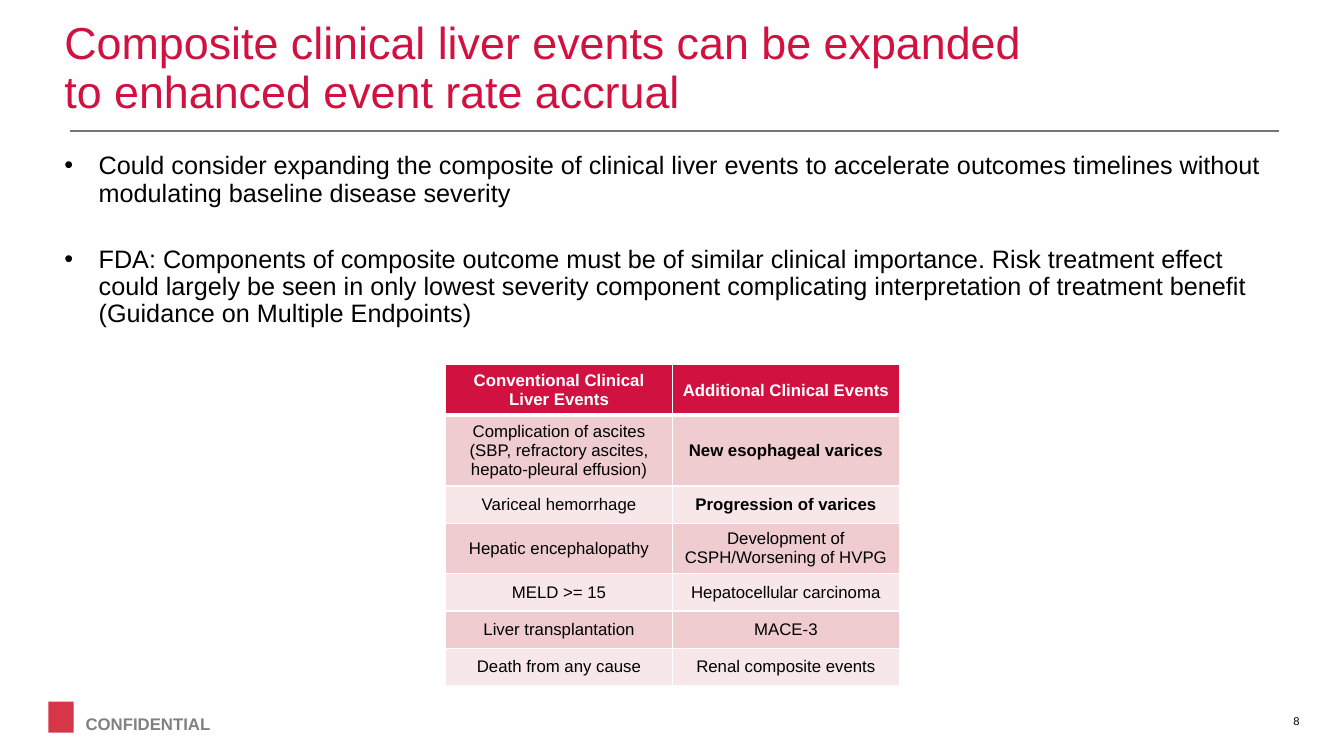
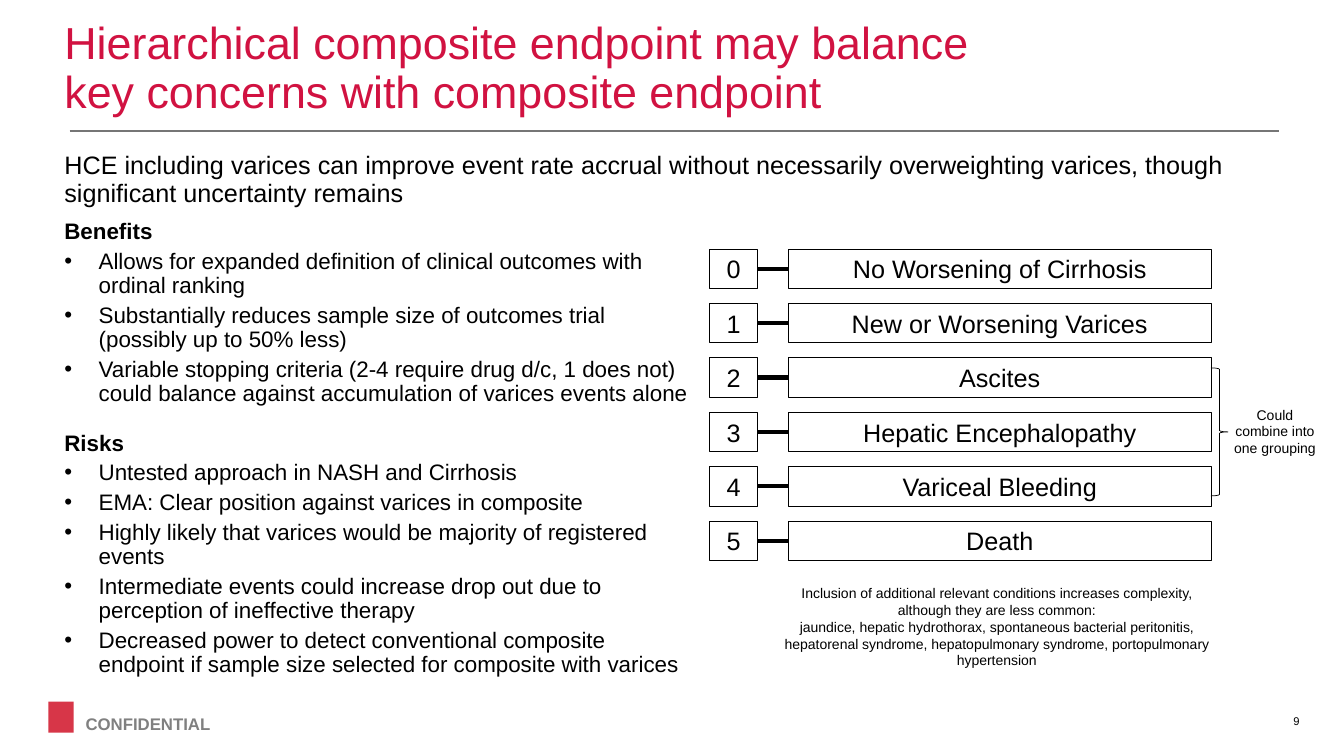
from lxml import etree
from pptx import Presentation
from pptx.dml.color import RGBColor
from pptx.enum.shapes import MSO_CONNECTOR, MSO_SHAPE
from pptx.enum.text import MSO_ANCHOR, PP_ALIGN
from pptx.oxml.ns import qn
from pptx.util import Inches, Pt

RED = RGBColor(0xD1, 0x12, 0x41)
EMBLEM_RED = RGBColor(0xD7, 0x36, 0x48)
BLACK = RGBColor(0, 0, 0)
WHITE = RGBColor(0xFF, 0xFF, 0xFF)
RULE_GRAY = RGBColor(0x76, 0x76, 0x76)
FOOTER_GRAY = RGBColor(0x80, 0x80, 0x80)
BAND_DARK = RGBColor(0xEE, 0xCC, 0xCF)
BAND_LIGHT = RGBColor(0xF7, 0xE7, 0xE9)
FONT = "Arial"
HANG = Inches(0.34)


def write(frame, lines, size, color=BLACK, bold=False, align=PP_ALIGN.LEFT,
          anchor=MSO_ANCHOR.TOP, spacing=None, gap=0, bullets=False):
    """Fill a text frame with one uniformly styled paragraph per line."""
    frame.word_wrap = True
    frame.vertical_anchor = anchor
    frame.text = "\n".join(lines)
    for i, paragraph in enumerate(frame.paragraphs):
        paragraph.alignment = align
        if bullets:
            props = paragraph._p.get_or_add_pPr()
            props.set("marL", str(HANG))
            props.set("indent", str(-HANG))
            etree.SubElement(props, qn("a:buFont")).set("typeface", FONT)
            etree.SubElement(props, qn("a:buChar")).set("char", "•")
        if spacing:
            paragraph.line_spacing = spacing
        if i and gap:
            paragraph.space_before = Pt(gap)
        for run in paragraph.runs:
            run.font.name = FONT
            run.font.size = Pt(size)
            run.font.bold = bold
            run.font.color.rgb = color
    return frame


def add_rule(slide, x1, x2, y, color, width):
    rule = slide.shapes.add_connector(
        MSO_CONNECTOR.STRAIGHT, Inches(x1), Inches(y), Inches(x2), Inches(y))
    rule.line.color.rgb = color
    rule.line.width = Pt(width)
    etree.SubElement(rule._element.spPr, qn("a:effectLst"))


deck = Presentation()
deck.slide_width = Inches(13.33)
deck.slide_height = Inches(7.5)

# Shared frame: emblem, rule, footer, title, page number
titles = {
    8: "Composite clinical liver events can be expanded\vto enhanced event rate accrual",
    9: "Hierarchical composite endpoint may balance\vkey concerns with composite endpoint",
}
slides = []
for number, title in titles.items():
    slide = deck.slides.add_slide(deck.slide_layouts[6])
    slides.append(slide)
    emblem = slide.shapes.add_shape(
        MSO_SHAPE.RECTANGLE, Inches(0.48), Inches(6.96), Inches(0.25), Inches(0.31))
    emblem.shadow.inherit = False
    emblem.fill.solid()
    emblem.fill.fore_color.rgb = EMBLEM_RED
    emblem.line.fill.background()
    add_rule(slide, 0.69, 12.69, 1.3, RULE_GRAY, 1)

    heading = slide.shapes.add_textbox(Inches(0.54), Inches(0.36), Inches(12.29), Inches(0.86))
    write(heading.text_frame, [title], 32, RED, anchor=MSO_ANCHOR.BOTTOM, spacing=0.9)
    footer = slide.shapes.add_textbox(Inches(0.75), Inches(7.03), Inches(1.63), Inches(0.3))
    write(footer.text_frame, ["CONFIDENTIAL"], 12, FOOTER_GRAY, bold=True)
    page = slide.shapes.add_textbox(Inches(12.45), Inches(6.95), Inches(0.52), Inches(0.4))
    write(page.text_frame, [str(number)], 8, align=PP_ALIGN.RIGHT, anchor=MSO_ANCHOR.MIDDLE)
    page.text_frame.margin_left = page.text_frame.margin_right = Inches(0.08)

events_slide, hierarchy_slide = slides

# Expanded events: key points
points = events_slide.shapes.add_textbox(Inches(0.54), Inches(1.47), Inches(12.29), Inches(2))
write(points.text_frame, [
    "Could consider expanding the composite of clinical liver events to accelerate outcomes "
    "timelines without modulating baseline disease severity",
    "FDA: Components of composite outcome must be of similar clinical importance. Risk treatment "
    "effect could largely be seen in only lowest severity component complicating interpretation "
    "of treatment benefit (Guidance on Multiple Endpoints)",
], 18, spacing=0.9, gap=28, bullets=True)

# Expanded events: table
event_rows = [
    ("Conventional Clinical Liver Events", "Additional Clinical Events"),
    ("Complication of ascites (SBP, refractory ascites, hepato-pleural effusion)",
     "New esophageal varices"),
    ("Variceal hemorrhage", "Progression of varices"),
    ("Hepatic encephalopathy", "Development of CSPH/Worsening of HVPG"),
    ("MELD >= 15", "Hepatocellular carcinoma"),
    ("Liver transplantation", "MACE-3"),
    ("Death from any cause", "Renal composite events"),
]
emphasized = {"New esophageal varices", "Progression of varices"}
events = events_slide.shapes.add_table(
    len(event_rows), 2, Inches(4.42), Inches(3.62), Inches(4.5), Inches(2.67)).table
for r, row in enumerate(event_rows):
    header = r == 0
    events.rows[r].height = Inches(0.45 if header else 0.37)
    for c, label in enumerate(row):
        cell = events.cell(r, c)
        write(cell.text_frame, [label], 12, WHITE if header else BLACK,
              bold=header or label in emphasized, align=PP_ALIGN.CENTER)
        cell.vertical_anchor = MSO_ANCHOR.MIDDLE
        props = cell._tc.get_or_add_tcPr()
        for side in ("L", "R", "T", "B"):
            thick = (r, side) in ((0, "B"), (1, "T"))
            border = etree.SubElement(props, qn(f"a:ln{side}"), w=str(Pt(3 if thick else 1)))
            paint = etree.SubElement(border, qn("a:solidFill"))
            etree.SubElement(paint, qn("a:srgbClr"), val=str(WHITE))
        cell.fill.solid()
        cell.fill.fore_color.rgb = RED if header else BAND_DARK if r % 2 else BAND_LIGHT

# Hierarchy: lead sentence
lead = hierarchy_slide.shapes.add_textbox(Inches(0.54), Inches(1.47), Inches(12.29), Inches(0.65))
write(lead.text_frame, [
    "HCE including varices can improve event rate accrual without necessarily overweighting "
    "varices, though significant uncertainty remains"], 18, spacing=0.9)

# Hierarchy: benefits and risks
arguments = {
    "Benefits": [
        "Allows for expanded definition of clinical outcomes with ordinal ranking",
        "Substantially reduces sample size of outcomes trial (possibly up to 50% less)",
        "Variable stopping criteria (2-4 require drug d/c, 1 does not) could balance against "
        "accumulation of varices events alone",
    ],
    "Risks": [
        "Untested approach in NASH and Cirrhosis",
        "EMA: Clear position against varices in composite",
        "Highly likely that varices would be majority of registered events",
        "Intermediate events could increase drop out due to perception of ineffective therapy",
        "Decreased power to detect conventional composite endpoint if sample size selected for "
        "composite with varices",
    ],
}
argument_lines = [line for name, items in arguments.items() for line in (name, *items)]
balance = hierarchy_slide.shapes.add_textbox(
    Inches(0.54), Inches(2.14), Inches(6.38), Inches(4.76)).text_frame
write(balance, argument_lines, 16, spacing=0.9, gap=4, bullets=True)
for paragraph in balance.paragraphs:
    if paragraph.text in arguments:
        props = paragraph._p.get_or_add_pPr()
        props.set("marL", "0")
        props.set("indent", "0")
        props.remove(props.find(qn("a:buFont")))
        props.remove(props.find(qn("a:buChar")))
        paragraph.runs[0].font.bold = True
    if paragraph.text == "Risks":
        paragraph.space_before = Pt(18)

# Hierarchy: ranked outcomes
outcomes = ["No Worsening of Cirrhosis", "New or Worsening Varices", "Ascites",
            "Hepatic Encephalopathy", "Variceal Bleeding", "Death"]
RANK_TOP, RANK_PITCH, RANK_HEIGHT = 2.47, 0.54, 0.39
for rank, outcome in enumerate(outcomes):
    top = RANK_TOP + rank * RANK_PITCH
    for left, width, label in ((7.04, 0.47, str(rank)), (7.82, 4.19, outcome)):
        box = hierarchy_slide.shapes.add_shape(
            MSO_SHAPE.RECTANGLE, Inches(left), Inches(top), Inches(width), Inches(RANK_HEIGHT))
        box.shadow.inherit = False
        box.fill.background()
        box.line.color.rgb = BLACK
        box.line.width = Pt(0.5)
        write(box.text_frame, [label], 18, align=PP_ALIGN.CENTER, anchor=MSO_ANCHOR.MIDDLE)
    add_rule(hierarchy_slide, 7.51, 7.82, top + RANK_HEIGHT / 2, BLACK, 3)

# Hierarchy: grouping brace and notes
brace = hierarchy_slide.shapes.add_shape(
    MSO_SHAPE.RIGHT_BRACE, Inches(12.01), Inches(3.65), Inches(0.17), Inches(1.27))
brace.shadow.inherit = False
brace.fill.background()
brace.line.color.rgb = BLACK
brace.line.width = Pt(0.5)
grouping = hierarchy_slide.shapes.add_textbox(
    Inches(12.11), Inches(3.98), Inches(1.07), Inches(0.61))
write(grouping.text_frame, ["Could combine into one grouping"], 10, align=PP_ALIGN.CENTER)
complexity = hierarchy_slide.shapes.add_textbox(
    Inches(7.59), Inches(5.75), Inches(4.59), Inches(0.94))
write(complexity.text_frame, [
    "Inclusion of additional relevant conditions increases complexity, although they are less "
    "common:",
    "jaundice, hepatic hydrothorax, spontaneous bacterial peritonitis, hepatorenal syndrome, "
    "hepatopulmonary syndrome, portopulmonary hypertension",
], 10, align=PP_ALIGN.CENTER)

deck.save("out.pptx")
